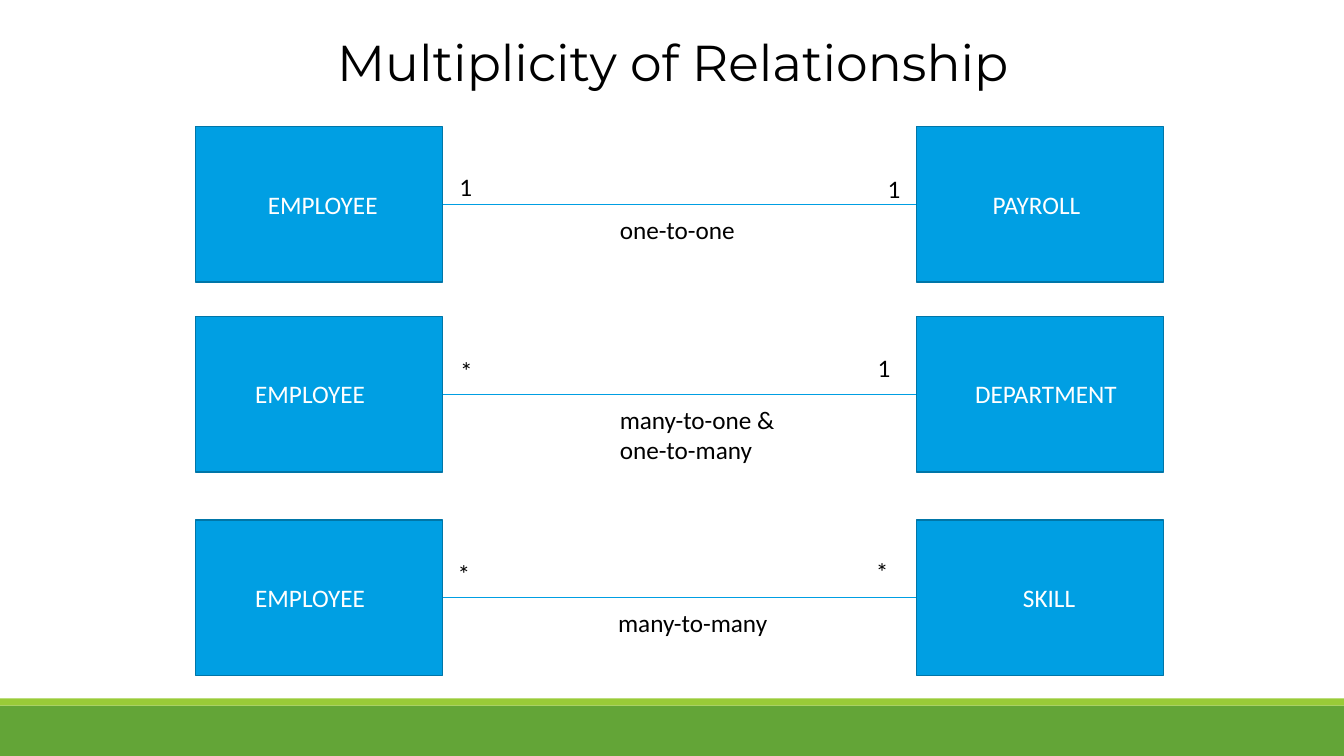
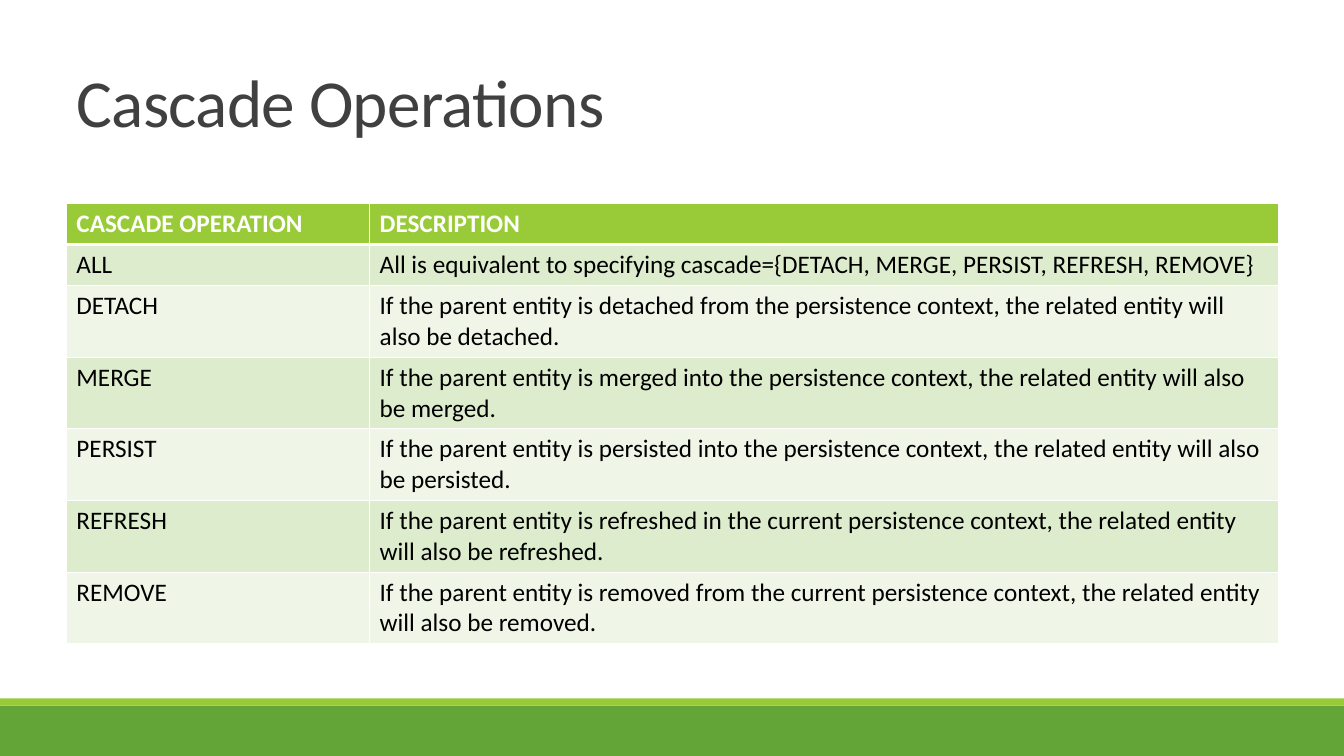
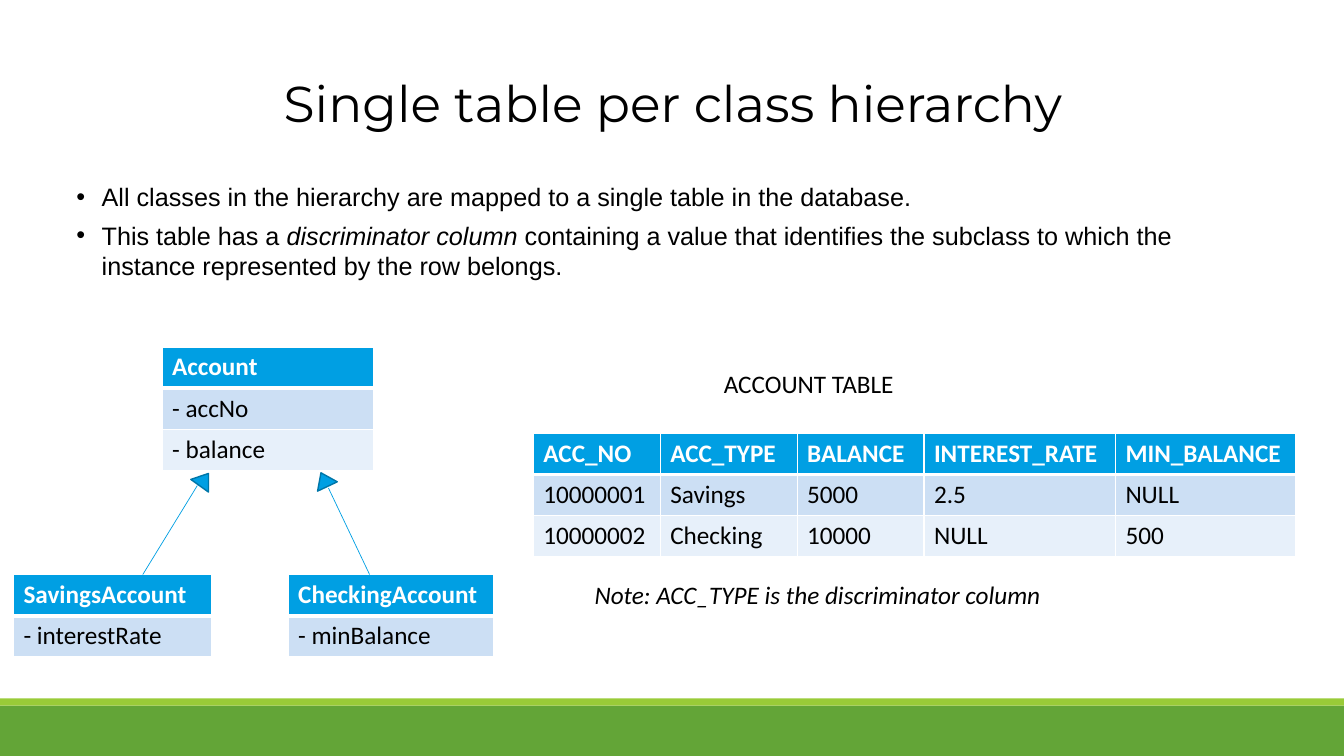
from pptx import Presentation
from pptx import util as u
from pptx.dml.color import RGBColor
from pptx.enum import shapes, text
from pptx.oxml import parse_xml
from pptx.oxml.ns import nsdecls, qn
from lxml import etree

HUE = {
    "leaf": "63A537", "lime": "99CB38", "mint": "DEECCE", "pale": "EFF6E8",
    "blue": "009FE3", "navy": "0076A8", "sky": "CCDFF4", "ice": "E7F0FA",
    "white": "FFFFFF", "black": "000000", "grey": "404040",
}
# Font settings: every key but "hue" is a font attribute
PLAIN = {"name": "Calibri", "size": u.Pt(18), "bold": False, "italic": False, "hue": "black"}
LIGHT = {**PLAIN, "hue": "white"}
HEAD = {**LIGHT, "bold": True}
NOTE = {**PLAIN, "italic": True}
LIST = {**PLAIN, "name": "Arial"}
TITLE = {**PLAIN, "name": "Montserrat", "size": u.Pt(36)}
LARGE = {**PLAIN, "size": u.Pt(48), "hue": "grey"}
# Table colours: header, odd rows, even rows
GREEN = ("lime", "mint", "pale")
BLUE = ("blue", "sky", "ice")

COLS, ROWS = 160, 90
LEFT, WIDE = 7.9, 144.4
MID = text.PP_ALIGN.CENTER
START = text.PP_ALIGN.LEFT


def color(hue):
    return RGBColor.from_string(HUE[hue])


class Deck:
    """Holds the shared style and the current slide; lengths are grid cells."""

    def __init__(self):
        self.prs = Presentation()
        self.prs.slide_width, self.prs.slide_height = u.Inches(13.33), u.Inches(7.5)
        self.page = None

    def cell(self, x, y):
        return (round(self.prs.slide_width * x / COLS),
                round(self.prs.slide_height * y / ROWS))

    def area(self, x, y, w, h):
        return self.cell(x, y) + self.cell(w, h)

    def add(self, layout):
        self.page = self.prs.slides.add_slide(self.prs.slide_layouts[layout])

    def bands(self):
        """Draw the two foot bands and move them to the master."""
        tree = self.prs.slide_master.element.cSld.spTree
        for y, h, hue in ((84, 6, "leaf"), (83.15, 0.85, "lime")):
            tree.append(self.block(0, y, COLS, h, hue).element)

    def style(self, font, look):
        for key, value in look.items():
            if key == "hue":
                font.color.rgb = color(value)
            else:
                setattr(font, key, value)

    def put(self, frame, paras, look, align=START, bullet=False):
        """Fill a frame; a paragraph is a string or a list of (words, italic)."""
        frame.word_wrap = True
        for i, para in enumerate(paras):
            p = frame.paragraphs[0] if i == 0 else frame.add_paragraph()
            if bullet:
                props = p._p.get_or_add_pPr()
                props.set("marL", str(u.Inches(0.25)))
                props.set("indent", str(-u.Inches(0.25)))
                etree.SubElement(props, qn("a:buChar")).set("char", "•")
                p.space_after = u.Pt(6)
            p.alignment, p.space_before = align, u.Pt(0)
            runs = [(para, look["italic"])] if isinstance(para, str) else para
            for words, italic in runs:
                run = p.add_run()
                run.text = words
                self.style(run.font, {**look, "italic": italic})

    def hold(self, shape, box):
        """Place a template placeholder and set its frame."""
        shape.left, shape.top, shape.width, shape.height = self.area(*box)
        frame = shape.text_frame
        frame.auto_size = text.MSO_AUTO_SIZE.NONE
        frame.vertical_anchor = text.MSO_ANCHOR.TOP
        return frame

    def title(self, words, y=8, look=TITLE, align=MID):
        frame = self.hold(self.page.shapes.title, (LEFT, y, WIDE, 14.6))
        self.put(frame, [words], look, align)
        return frame.paragraphs[0]

    def body(self, paras, y, h):
        frame = self.hold(self.page.placeholders[1], (LEFT, y, WIDE, h))
        self.put(frame, paras, LIST, bullet=True)

    def label(self, x, y, w, *lines, look=PLAIN, align=START):
        box = self.page.shapes.add_textbox(*self.area(x, y, w, 4.9 * len(lines)))
        self.put(box.text_frame, lines, look, align)

    def block(self, x, y, w, h, hue, edge=None, turn=0, kind="RECTANGLE"):
        shape = self.page.shapes.add_shape(
            shapes.MSO_SHAPE[kind], *self.area(x, y, w, h))
        shape.shadow.inherit = False
        shape.rotation = turn
        shape.fill.solid()
        shape.fill.fore_color.rgb = color(hue)
        if edge:
            shape.line.color.rgb, shape.line.width = color(edge), u.Pt(1)
        else:
            shape.line.fill.background()
        return shape

    def link(self, x, y, to_x, to_y):
        line = self.page.shapes.add_connector(
            shapes.MSO_CONNECTOR.STRAIGHT, *self.cell(x, y), *self.cell(to_x, to_y))
        line.line.color.rgb, line.line.width = color("blue"), u.Pt(0.5)
        etree.SubElement(line.element.spPr, qn("a:effectLst"))

    def edges(self, cell, row):
        """White cell borders, thick between header and first row."""
        thick = {"T": 3 if row == 1 else 1, "B": 3 if row == 0 else 1}
        for side in "LRTB":
            width = u.Pt(thick.get(side, 1))
            cell._tc.get_or_add_tcPr().append(parse_xml(
                f'<a:ln{side} {nsdecls("a")} w="{width}"><a:solidFill>'
                f'<a:srgbClr val="{HUE["white"]}"/></a:solidFill></a:ln{side}>'))

    def table(self, x, y, widths, rows, hues=BLUE):
        grid = self.page.shapes.add_table(
            len(rows), len(widths),
            *self.area(x, y, sum(widths), 4.9 * len(rows))).table
        for col, w in zip(grid.columns, widths):
            col.width = self.cell(w, 0)[0]
        for r, row in enumerate(rows):
            hue = hues[0] if r == 0 else hues[2 - r % 2]
            for c, words in enumerate(row):
                cell = grid.cell(r, c)
                self.edges(cell, r)
                cell.fill.solid()
                cell.fill.fore_color.rgb = color(hue)
                self.put(cell.text_frame, [words], PLAIN if r else HEAD)


def links(deck):
    """Slide 1: three pairs of entities."""
    deck.add(5)
    deck.bands()
    deck.title("Multiplicity of Relationship", y=3.1)
    near, far, w, h = 23.3, 109.1, 29.4, 18.5
    # top, (name, x, align) twice, (mark, x, drop) twice, caption x and lines
    pairs = (
        (15.1, ("EMPLOYEE", 30.7, START), ("PAYROLL", 117, START),
         ("1", 53.5, 4.7), ("1", 104.5, 4.9), 72.6, ["one-to-one"]),
        (37.7, ("EMPLOYEE", 29.2, START), ("DEPARTMENT", 114.9, START),
         ("*", 53.6, 4), ("1", 103.3, 3.7), 72.6, ["many-to-one &", "one-to-many"]),
        (61.9, ("EMPLOYEE", 29.2, START), ("SKILL", 114.9, MID),
         ("*", 53.3, 4), ("*", 103.1, 3.7), 72.4, ["many-to-many"]),
    )
    for top, *ends, x, lines in pairs:
        for left in (near, far):
            deck.block(left, top, w, h, "blue", "navy")
        deck.link(near + w, top + h / 2, far, top + h / 2)
        for name, left, align in ends[:2]:
            deck.label(left, top + 6.8, 20, name, look=LIGHT, align=align)
        for mark, left, drop in ends[2:]:
            deck.label(left, top + drop, 3.5, mark)
        deck.label(x, top + 9.8, w, *lines)


def cascade(deck):
    """Slide 2: table of operations."""
    deck.add(5)
    p = deck.title("Cascade Operations", look=LARGE, align=START)
    p.line_spacing = 0.85
    p.runs[0].font._element.set("spc", "-50")
    verbs = (
        ("DETACH", "detached from the"), ("MERGE", "merged into the"),
        ("PERSIST", "persisted into the"), ("REFRESH", "refreshed in the current"),
        ("REMOVE", "removed from the current"),
    )
    rows = [
        ("CASCADE OPERATION", "DESCRIPTION"),
        ("ALL", "All is equivalent to specifying "
                "cascade={DETACH, MERGE, PERSIST, REFRESH, REMOVE}"),
    ]
    for name, act in verbs:
        rows.append((name, f"If the parent entity is {act} persistence context, "
                           f"the related entity will also be {act.split()[0]}."))
    deck.table(LEFT, 24.2, (36.1, 108.2), rows, GREEN)


def single(deck):
    """Slide 3: class tree and its table."""
    deck.add(1)
    deck.title("Single table per class hierarchy")
    deck.body([
        "All classes in the hierarchy are mapped to a single table in the database.",
        [("This table has a ", False), ("discriminator column", True),
         (" containing a value that identifies the subclass to which the "
          "instance represented by the row belongs.", False)],
    ], 21, 61.3)
    # Classes
    base = 68.4
    deck.table(19.3, 41.3, [25.2], [["Account"], ["- accNo"], ["- balance"]])
    deck.table(34.3, base, [24.5], [["CheckingAccount"], ["- minBalance"]])
    deck.table(1.6, base, [23.6], [["SavingsAccount"], ["- interestRate"]])
    # Inheritance arrows: line start, line end, tip corner, tip turn
    for x, to_x, to_y, tip, turn in ((17, 23.5, 57.8, 23, 35.6),
                                     (44, 39.1, 58.1, 37.3, 334.7)):
        deck.link(x, base, to_x, to_y)
        deck.block(tip, 56.2, 2.6, 1.8, "blue", "navy", turn, "ISOSCELES_TRIANGLE")
    # Stored rows
    deck.table(63.5, 51.6, (15.1, 16.3, 15.1, 22.8, 21.5), (
        ("ACC_NO", "ACC_TYPE", "BALANCE", "INTEREST_RATE", "MIN_BALANCE"),
        ("10000001", "Savings", "5000", "2.5", "NULL"),
        ("10000002", "Checking", "10000", "NULL", "500"),
    ))
    deck.label(85, 43.2, 47.2, "ACCOUNT TABLE")
    deck.label(69.6, base, 75, "Note: ACC_TYPE is the discriminator column", look=NOTE)


def main():
    deck = Deck()
    for build in (links, cascade, single):
        build(deck)
    deck.prs.save("out.pptx")


if __name__ == "__main__":
    main()
